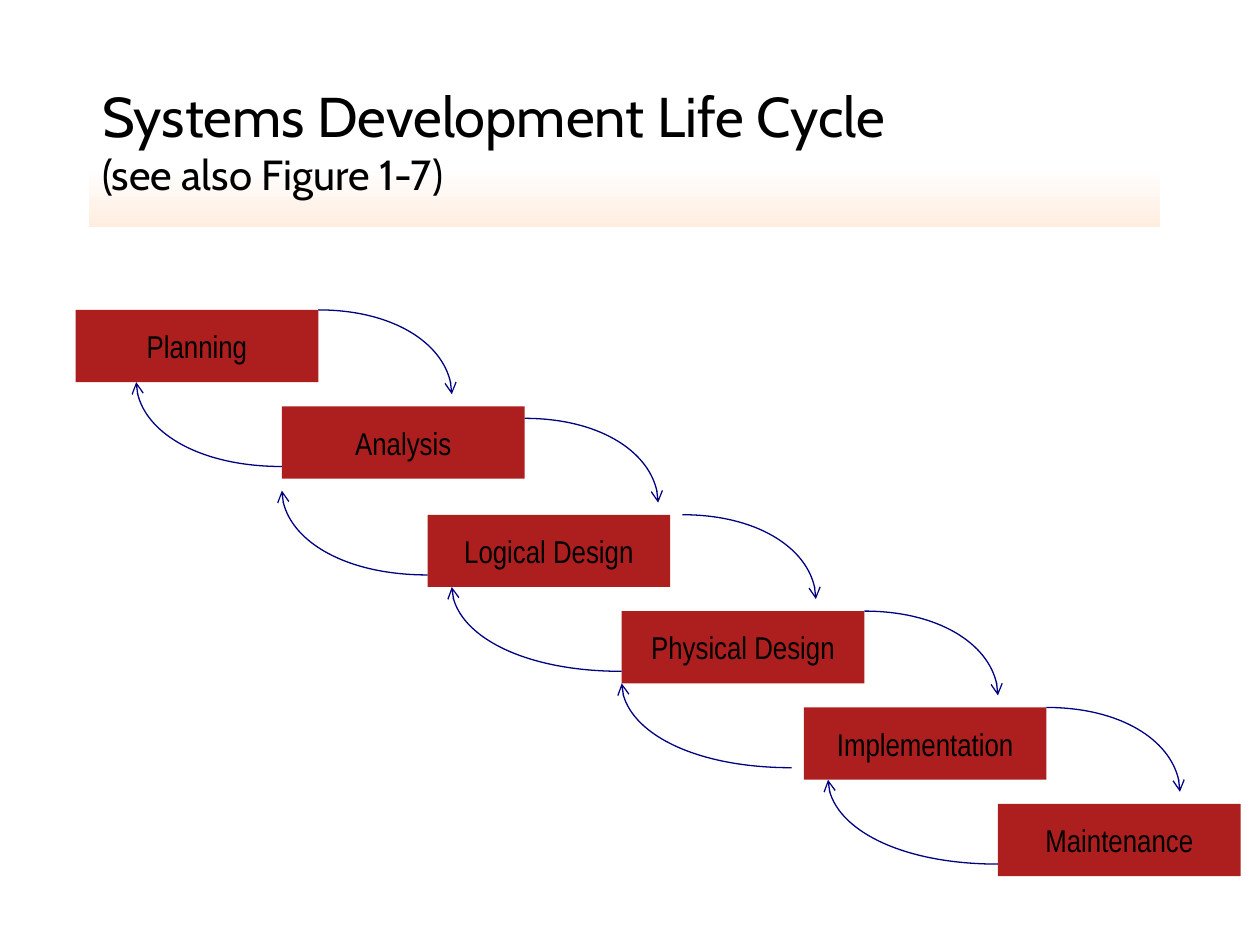
from dataclasses import dataclass

from lxml import etree
from pptx import Presentation
from pptx.dml.color import RGBColor
from pptx.enum.shapes import MSO_SHAPE
from pptx.enum.text import MSO_ANCHOR, PP_ALIGN
from pptx.oxml.ns import qn
from pptx.util import Inches, Pt

RECTANGLE = MSO_SHAPE.RECTANGLE
MIDDLE = MSO_ANCHOR.MIDDLE
LEFT, CENTER = PP_ALIGN.LEFT, PP_ALIGN.CENTER

BLACK = RGBColor(0x00, 0x00, 0x00)
WHITE = RGBColor(0xFF, 0xFF, 0xFF)
PEACH = RGBColor(0xFF, 0xED, 0xE0)
BRICK = RGBColor(0xAD, 0x1F, 0x1F)
NAVY = RGBColor(0x00, 0x00, 0x80)

# Diagram grid: the last phase starts 76 columns and 41 rows from the first
ORIGIN_X, ORIGIN_Y = Inches(0.6), Inches(2.46)
COLUMN, ROW = Inches(7.32) / 76, Inches(3.92) / 41
PHASE_COLUMNS, PHASE_ROWS = 20, 6
ARROW_ROWS = 7
BEZIER = 0.55  # control point share for a quarter ellipse


@dataclass(frozen=True)
class Phase:
    name: str
    column: int
    row: int


@dataclass(frozen=True)
class Arrow:
    column: int
    row: int
    columns: int  # negative: runs back up to the previous phase


PHASES = [
    Phase("Planning", 0, 0),
    Phase("Analysis", 17, 8),
    Phase("Logical Design", 29, 17),
    Phase("Physical Design", 45, 25),
    Phase("Implementation", 60, 33),
    Phase("Maintenance", 76, 41),
]
FORWARD = [Arrow(column, row, 11) for column, row in
           [(20, 0), (37, 9), (50, 17), (65, 25), (80, 33)]]
BACK = [Arrow(17, 13, -12), Arrow(29, 22, -12), Arrow(45, 30, -14),
        Arrow(59, 38, -14), Arrow(76, 46, -14)]


def grid_x(column: float) -> int:
    return round(ORIGIN_X + column * COLUMN)


def grid_y(row: float) -> int:
    return round(ORIGIN_Y + row * ROW)


def add_text(paragraph, text: str, *, size: float, font: str,
             color: RGBColor = BLACK, align=CENTER) -> None:
    paragraph.alignment = align
    run = paragraph.add_run()
    run.text = text
    run.font.size = Pt(size)
    run.font.name = font
    run.font.color.rgb = color


def draw_title(slide) -> None:
    title = slide.shapes.title
    title.left, title.top = Inches(0.71), Inches(0.42)
    title.width, title.height = Inches(8.5), Inches(1.38)
    title.fill.gradient()
    title.fill.gradient_angle = 270
    stops = [(0.66, WHITE), (1, PEACH)]
    for stop, (position, color) in zip(title.fill.gradient_stops, stops):
        stop.position = position
        stop.color.rgb = color
    frame = title.text_frame
    frame.vertical_anchor = MIDDLE
    frame.word_wrap = True
    heading = frame.paragraphs[0]
    add_text(heading, "Systems Development Life Cycle", size=32, font="Cabin", align=LEFT)
    heading.add_line_break()
    add_text(heading, "(see also Figure 1-7)", size=24, font="Cabin", align=LEFT)


def draw_phase(slide, phase: Phase) -> None:
    box = slide.shapes.add_shape(
        RECTANGLE, grid_x(phase.column), grid_y(phase.row),
        round(PHASE_COLUMNS * COLUMN), round(PHASE_ROWS * ROW))
    box.shadow.inherit = False
    box.fill.solid()
    box.fill.fore_color.rgb = BRICK
    box.line.fill.background()
    frame = box.text_frame
    frame.word_wrap = False
    frame.vertical_anchor = MIDDLE
    add_text(frame.paragraphs[0], phase.name, size=18, font="Arial Narrow")


def draw_arrow(slide, arrow: Arrow) -> None:
    rows = ARROW_ROWS if arrow.columns > 0 else -ARROW_ROWS
    builder = slide.shapes.build_freeform(grid_x(arrow.column), grid_y(arrow.row))
    builder.add_line_segments(
        [(grid_x(arrow.column + arrow.columns), grid_y(arrow.row + rows))], close=False)
    curve = builder.convert_to_shape()
    curve.shadow.inherit = False
    curve.fill.background()
    curve.line.color.rgb = NAVY
    curve.line.width = Pt(0.75)

    # Bend the straight segment into a quarter ellipse
    segment = next(curve.element.iter(qn("a:lnTo")))
    segment.tag = qn("a:cubicBezTo")
    start = (0, 0) if rows > 0 else (curve.width, curve.height)
    end = (curve.width - start[0], curve.height - start[1])
    controls = [
        (start[0] + BEZIER * (end[0] - start[0]), start[1]),
        (end[0], end[1] - BEZIER * (end[1] - start[1])),
    ]
    for index, (x, y) in enumerate(controls):
        point = etree.Element(qn("a:pt"), x=str(round(x)), y=str(round(y)))
        segment.insert(index, point)

    # Open arrowhead at the end
    outline = curve.element.spPr.find(qn("a:ln"))
    etree.SubElement(outline, qn("a:tailEnd"), type="arrow")


def main() -> None:
    presentation = Presentation()
    presentation.slide_width, presentation.slide_height = Inches(10), Inches(7.5)
    title_only = presentation.slide_layouts[5]
    slide = presentation.slides.add_slide(title_only)
    draw_title(slide)
    for phase in PHASES:
        draw_phase(slide, phase)
    for arrow in FORWARD + BACK:
        draw_arrow(slide, arrow)
    presentation.save("out.pptx")


if __name__ == "__main__":
    main()
